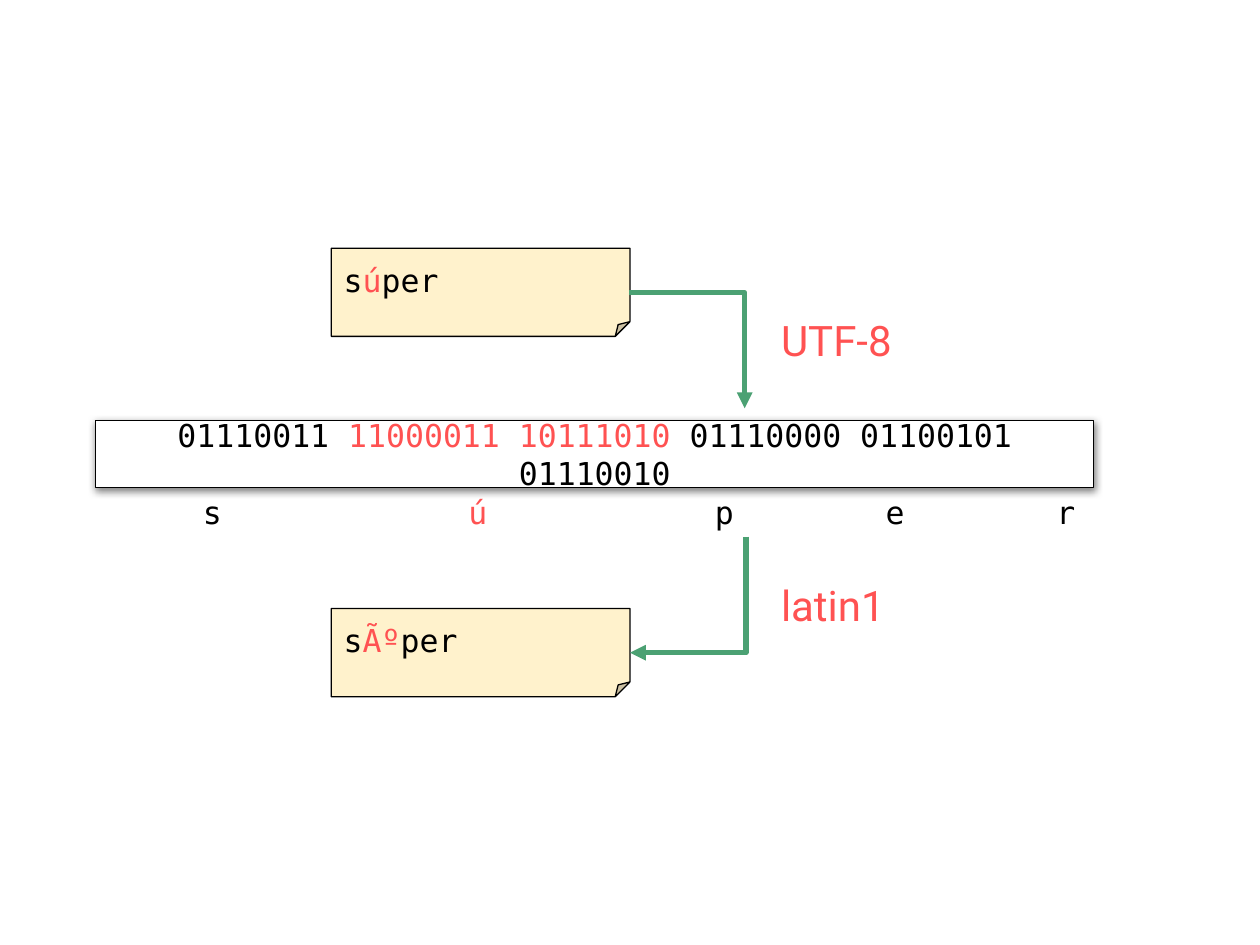
"""Build a slide that shows UTF-8 bytes misread as latin1."""
from dataclasses import dataclass
from typing import Any

from lxml import etree
from pptx import Presentation
from pptx import util as u
from pptx.dml.color import RGBColor
from pptx.enum import shapes, text
from pptx.oxml.ns import qn


@dataclass(frozen=True)
class Theme:
    """Colours, fonts and type sizes."""
    ink: str = "000000"
    mark: str = "FF5252"
    paper: str = "FFFFFF"
    note: str = "FFF2CC"
    arrow: str = "4BA173"
    mono: str = "DejaVu Sans Mono"
    sans: str = "Roboto"
    code: float = 18
    label: float = 24


@dataclass(frozen=True)
class Box:
    """Place, preset, fill and text pieces; every second piece is marked."""
    left: float
    top: float
    width: float
    height: float
    kind: Any
    fill: str
    words: tuple[str, ...]
    edge: bool = True


@dataclass(frozen=True)
class Step:
    """An encoding label and its bent arrow."""
    name: str
    top: float
    left: float
    start: float
    turn: int


T = Theme()
PAD = 0.1
BEND = 0.92
CHAR = T.code * 0.602 / 72
RECT = shapes.MSO_SHAPE.RECTANGLE
FOLD = shapes.MSO_SHAPE.FOLDED_CORNER

ROW = Box(0.76, 3.8, 7.92, 0.53, RECT, T.paper, ("\ts", "\tú", "\tp\te\tr"), False)
BYTES = Box(0.76, 3.34, 7.92, 0.53, RECT, T.paper,
            ("01110011 ", "11000011 10111010", " 01110000 01100101 01110010"))
NOTES = [Box(2.63, top, 2.37, 0.7, FOLD, T.note, ("s", mid, "per"))
         for top, mid in ((1.97, "ú"), (4.83, "Ãº"))]
STEPS = [Step("UTF-8", 2.48, 4.99, 2.32, 0), Step("latin1", 4.58, 5, 4.26, 90)]
STOPS = (5, 19, 32, 41, 50)


def rgb(code: str) -> RGBColor:
    """Turn a hex code into a colour."""
    return RGBColor.from_string(code)


def frame(shape: Any, anchor: Any) -> Any:
    """Set insets, wrap and anchor, and return the first paragraph."""
    body = shape.text_frame
    body.word_wrap = True
    body.vertical_anchor = anchor
    body.margin_left = body.margin_right = u.Inches(PAD)
    body.margin_top = body.margin_bottom = u.Inches(PAD)
    return body.paragraphs[0]


def style(para: Any, face: str, size: float) -> None:
    """Set the font of a paragraph."""
    para.font.name = face
    para.font.size = u.Pt(size)


def draw_box(slide: Any, box: Box, align: Any, anchor: Any,
             stops: tuple[int, ...] = ()) -> Any:
    """Draw a box with its text, with tab stops counted in characters."""
    place = map(u.Inches, (box.left, box.top, box.width, box.height))
    shape = slide.shapes.add_shape(box.kind, *place)
    shape.shadow.inherit = False
    shape.fill.solid()
    shape.fill.fore_color.rgb = rgb(box.fill)
    if box.edge:
        shape.line.color.rgb = rgb(T.ink)
        shape.line.width = u.Pt(0.75)
    else:
        shape.line.fill.background()
    para = frame(shape, anchor)
    para.alignment = align
    if stops:
        tabs = etree.SubElement(para._p.get_or_add_pPr(), qn("a:tabLst"))
        for stop in stops:
            etree.SubElement(tabs, qn("a:tab"), pos=str(u.Inches(stop * CHAR)), algn="l")
    style(para, T.mono, T.code)
    for i, word in enumerate(box.words):
        run = para.add_run()
        run.text = word
        run.font.color.rgb = rgb(T.mark if i % 2 else T.ink)
    return shape


def add_shade(shape: Any) -> None:
    """Give a shape a soft shadow below it."""
    glow = shape._element.spPr.find(qn("a:effectLst"))
    shade = etree.SubElement(glow, qn("a:outerShdw"), blurRad=str(u.Pt(4.5)),
                             dist=str(u.Pt(1.5)), dir="5400000", algn="bl", rotWithShape="0")
    tone = etree.SubElement(shade, qn("a:srgbClr"), val=T.ink)
    etree.SubElement(tone, qn("a:alpha"), val="50000")


def draw_step(slide: Any, step: Step) -> None:
    """Draw a bent arrow and its label."""
    ends = (step.left, step.start, step.left + BEND, step.start + BEND)
    line = slide.shapes.add_connector(shapes.MSO_CONNECTOR.ELBOW, *map(u.Inches, ends))
    line.line.color.rgb = rgb(T.arrow)
    line.line.width = u.Pt(3)
    props = line._element.spPr
    props.find(qn("a:prstGeom")).set("prst", "bentConnector2")
    props.find(qn("a:xfrm")).set("rot", str(step.turn * 60000))
    etree.SubElement(props.find(qn("a:ln")), qn("a:tailEnd"), type="triangle")
    etree.SubElement(props, qn("a:effectLst"))
    label = slide.shapes.add_textbox(*map(u.Inches, (6.1, step.top, 1.25, 0.44)))
    para = frame(label, text.MSO_ANCHOR.MIDDLE)
    para.add_run().text = step.name
    style(para, T.sans, T.label)
    para.font.color.rgb = rgb(T.mark)


def main() -> None:
    """Build and save the slide."""
    deck = Presentation()
    deck.slide_width, deck.slide_height = u.Inches(10), u.Inches(7.5)
    slide = deck.slides.add_slide(deck.slide_layouts[6])
    left, mid = text.PP_ALIGN.LEFT, text.MSO_ANCHOR.MIDDLE
    draw_box(slide, ROW, left, mid, STOPS)
    add_shade(draw_box(slide, BYTES, text.PP_ALIGN.CENTER, mid))
    for note in NOTES:
        draw_box(slide, note, left, text.MSO_ANCHOR.TOP)
    for step in STEPS:
        draw_step(slide, step)
    deck.save("out.pptx")


if __name__ == "__main__":
    main()
